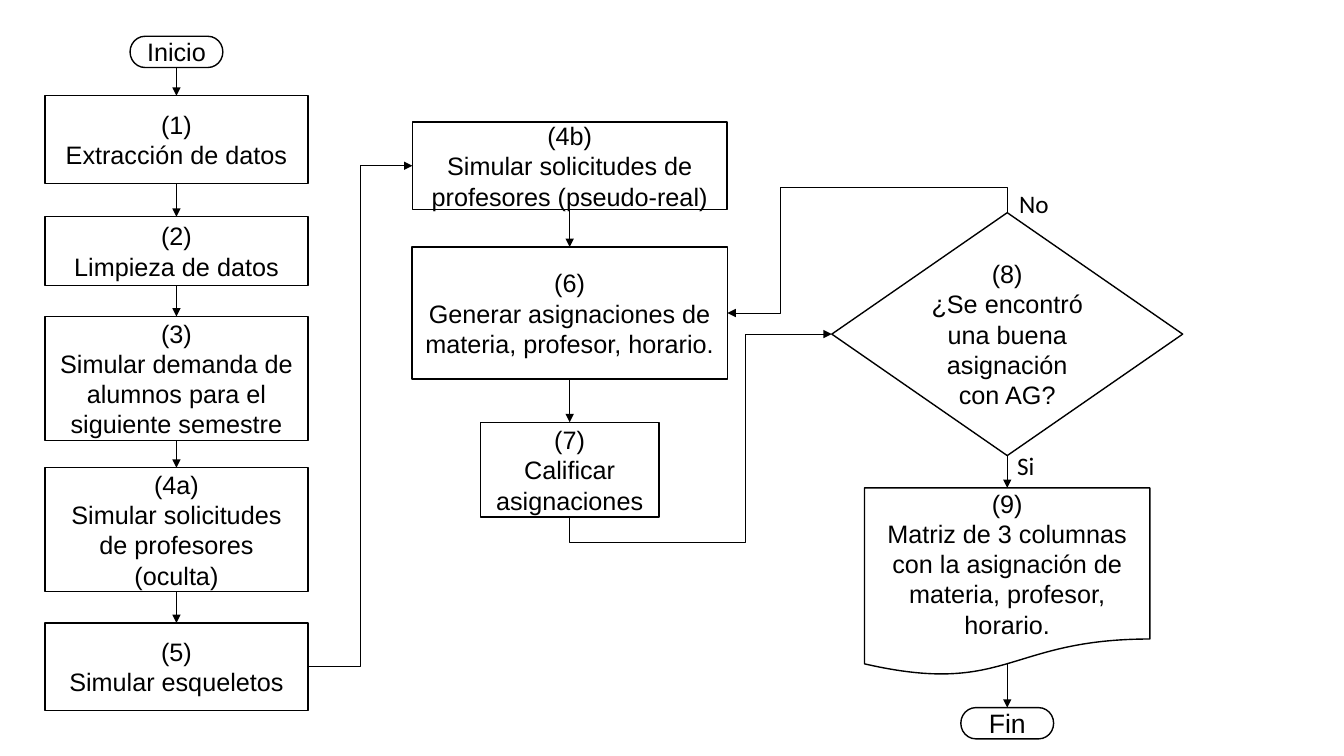
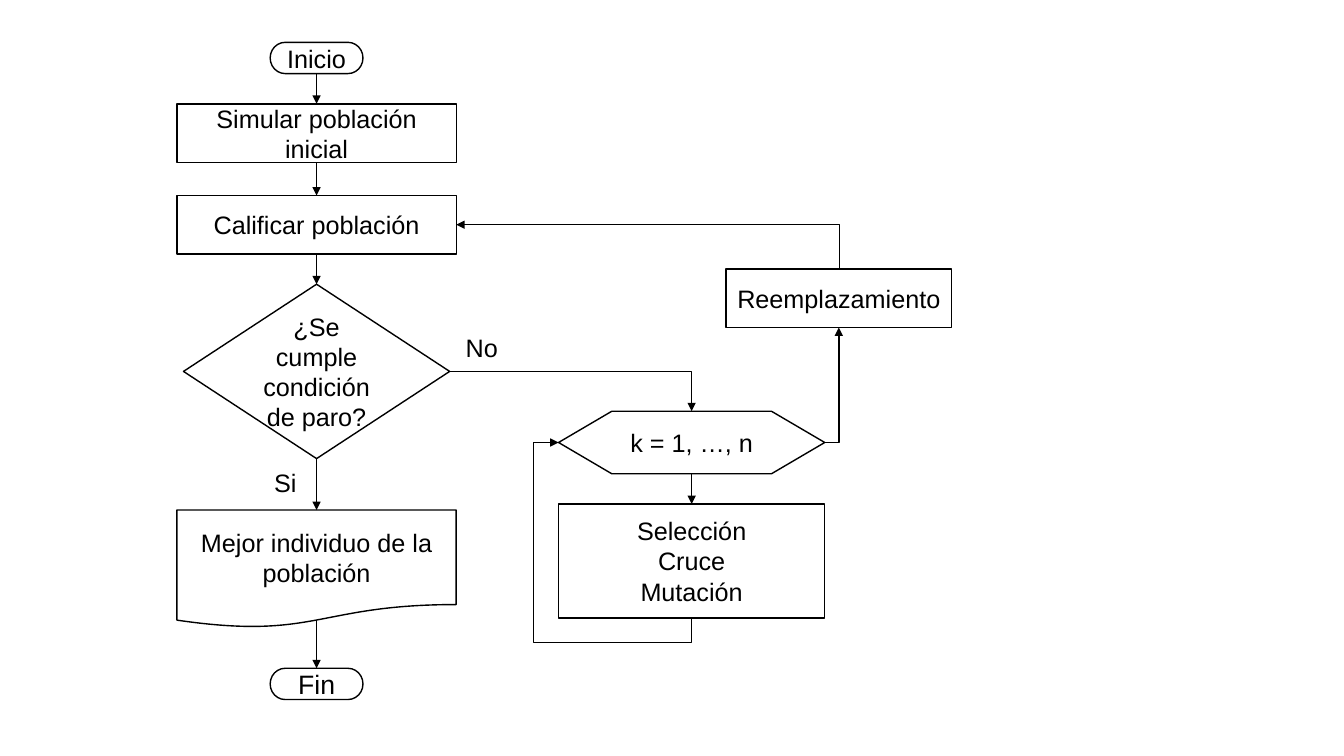
from lxml import etree
from pptx import Presentation
from pptx import util as u
from pptx.dml.color import RGBColor
from pptx.enum import shapes, text
from pptx.oxml.ns import qn

KIND = shapes.MSO_SHAPE
TOP, LEFT, BASE, RIGHT = range(4)
TURN = {TOP: 270, LEFT: 180, BASE: 90, RIGHT: 0}
WAVE = 0.934


def ink(code):
    return RGBColor.from_string(code)


class Flow:
    font, size, color = "Arial", 18, "000000"

    def __init__(self):
        self.deck = Presentation()
        self.deck.slide_width = u.Inches(13.33)
        self.deck.slide_height = u.Inches(7.5)

    def page(self, thin):
        self.thin = thin
        self.slide = self.deck.slides.add_slide(self.deck.slide_layouts[6])

    def fill_in(self, shape, words, align, font=None, size=None):
        frame = shape.text_frame
        frame.word_wrap = True
        frame.text = words
        for par in frame.paragraphs:
            par.alignment = align
            for run in par.runs:
                run.font.name = font or self.font
                run.font.size = u.Pt(size or self.size)
                run.font.color.rgb = ink(self.color)

    def box(self, words, mid, top, wide, high, kind=KIND.RECTANGLE, size=None):
        shape = self.slide.shapes.add_shape(
            kind, u.Inches(mid - wide / 2), u.Inches(top), u.Inches(wide), u.Inches(high))
        shape.shadow.inherit = False
        shape.fill.background()
        shape.line.color.rgb = ink(self.color)
        shape.line.width = u.Pt(1)
        self.fill_in(shape, words, text.PP_ALIGN.CENTER, size=size)
        shape.text_frame.vertical_anchor = text.MSO_ANCHOR.MIDDLE
        return shape

    def cap(self, words, mid, top, size=None):
        return self.box(words, mid, top, 0.92, 0.31, KIND.FLOWCHART_TERMINATOR, size)

    def label(self, words, left, top, wide, font=None):
        shape = self.slide.shapes.add_textbox(
            u.Inches(left), u.Inches(top), u.Inches(wide), u.Inches(0.4))
        self.fill_in(shape, words, text.PP_ALIGN.LEFT, font)

    def join(self, kind, first, out, last, into, thin=None):
        line = self.slide.shapes.add_connector(kind, 0, 0, 0, 0)
        line.begin_connect(first, out)
        line.end_connect(last, into)
        line.line.color.rgb = ink(self.color)
        line.line.width = u.Pt(thin or self.thin)
        props = line._element.spPr
        etree.SubElement(props.find(qn("a:ln")), qn("a:tailEnd"), type="triangle")
        etree.SubElement(props, qn("a:effectLst"))
        return line

    def arrow(self, first, last):
        line = self.join(shapes.MSO_CONNECTOR.STRAIGHT, first, BASE, last, TOP)
        if first.auto_shape_type == KIND.FLOWCHART_DOCUMENT:
            line.begin_y = first.top + int(first.height * WAVE)

    def chain(self, *steps):
        for first, last in zip(steps, steps[1:]):
            self.arrow(first, last)

    def bend(self, first, out, last, into, *folds, thin=None):
        line = self.join(shapes.MSO_CONNECTOR.ELBOW, first, out, last, into, thin)
        turn = TURN[out]
        dx, dy = line.end_x - line.begin_x, line.end_y - line.begin_y
        mx, my = line.begin_x + dx / 2, line.begin_y + dy / 2
        dx, dy = {0: (dx, dy), 90: (dy, -dx), 180: (-dx, -dy), 270: (-dy, dx)}[turn]
        line.begin_x, line.begin_y = int(mx - dx / 2), int(my - dy / 2)
        line.end_x, line.end_y = int(mx + dx / 2), int(my + dy / 2)
        props = line._element.spPr
        props.find(qn("a:xfrm")).set("rot", str(turn * 60000))
        geom = props.find(qn("a:prstGeom"))
        geom.set("prst", f"bentConnector{len(folds) + 2}")
        for num, fold in enumerate(folds, 1):
            etree.SubElement(geom.find(qn("a:avLst")), qn("a:gd"),
                             name=f"adj{num}", fmla=f"val {round(fold * 100000)}")


flow = Flow()

flow.page(0.5)
mid = 1.75
start = flow.cap("Inicio", mid, 0.36)
steps = [flow.box(words, mid, top, 2.61, high) for words, top, high in (
    ("(1)\nExtracción de datos", 0.95, 0.87),
    ("(2)\nLimpieza de datos", 2.15, 0.68),
    ("(3)\nSimular demanda de alumnos para el siguiente semestre", 3.14, 1.23),
    ("(4a)\nSimular solicitudes de profesores (oculta)", 4.64, 1.23),
    ("(5)\nSimular esqueletos", 6.18, 0.87))]
flow.chain(start, *steps)

mid = 5.65
asks = flow.box("(4b)\nSimular solicitudes de profesores (pseudo-real)", mid, 1.21, 3.12, 0.87)
plan = flow.box("(6)\nGenerar asignaciones de materia, profesor, horario.", mid, 2.45, 3.13, 1.31)
grade = flow.box("(7)\nCalificar asignaciones", mid, 4.19, 1.77, 0.94)
flow.chain(asks, plan, grade)

mid = 9.99
test = flow.box("(8)\n¿Se encontró una buena asignación con AG?", mid, 2.11, 3.48, 2.41,
                KIND.FLOWCHART_DECISION)
sheet = flow.box("(9)\nMatriz de 3 columnas con la asignación de materia, profesor, horario.",
                 mid, 4.84, 2.83, 1.87, KIND.FLOWCHART_DOCUMENT)
flow.chain(test, sheet, flow.cap("Fin", mid, 7.02, 19))
flow.label("No", 10.01, 1.82, 1.15, "Calibri")
flow.label("Si", 9.99, 4.42, 1.56, "Calibri")

flow.bend(steps[-1], RIGHT, asks, LEFT, 0.5)
flow.bend(grade, BASE, test, LEFT, -0.14, 0.67)
flow.bend(test, TOP, plan, RIGHT, -0.25, 0.81)

flow.page(1)
mid = 3.14
start = flow.cap("Inicio", mid, 0.42)
first = flow.box("Simular población inicial", mid, 1.03, 2.77, 0.58, KIND.FLOWCHART_PROCESS)
grade = flow.box("Calificar población", mid, 1.94, 2.77, 0.58, KIND.FLOWCHART_PROCESS)
test = flow.box("¿Se cumple condición de paro?", mid, 2.82, 2.64, 1.73, KIND.FLOWCHART_DECISION)
best = flow.box("Mejor individuo de la población", mid, 5.06, 2.77, 1.17, KIND.FLOWCHART_DOCUMENT)
flow.chain(start, first, grade, test, best, flow.cap("Fin", mid, 6.63, 19))
flow.label("No", 4.52, 3.25, 1.15)
flow.label("Si", 2.62, 4.59, 0.52)

mid = 6.86
loop = flow.box("k = 1, …, n", mid, 4.08, 2.64, 0.62, KIND.FLOWCHART_PREPARATION)
breed = flow.box("Selección\nCruce\nMutación", mid, 5, 2.64, 1.13, KIND.FLOWCHART_PROCESS)
swap = flow.box("Reemplazamiento", 8.32, 2.67, 2.24, 0.58, KIND.FLOWCHART_PROCESS)
flow.arrow(loop, breed)
flow.bend(test, RIGHT, loop, TOP)
flow.bend(breed, BASE, loop, LEFT, -0.14, 1.19)
flow.bend(loop, RIGHT, swap, BASE)
flow.bend(swap, TOP, grade, RIGHT, thin=0.5)

flow.deck.save("out.pptx")
